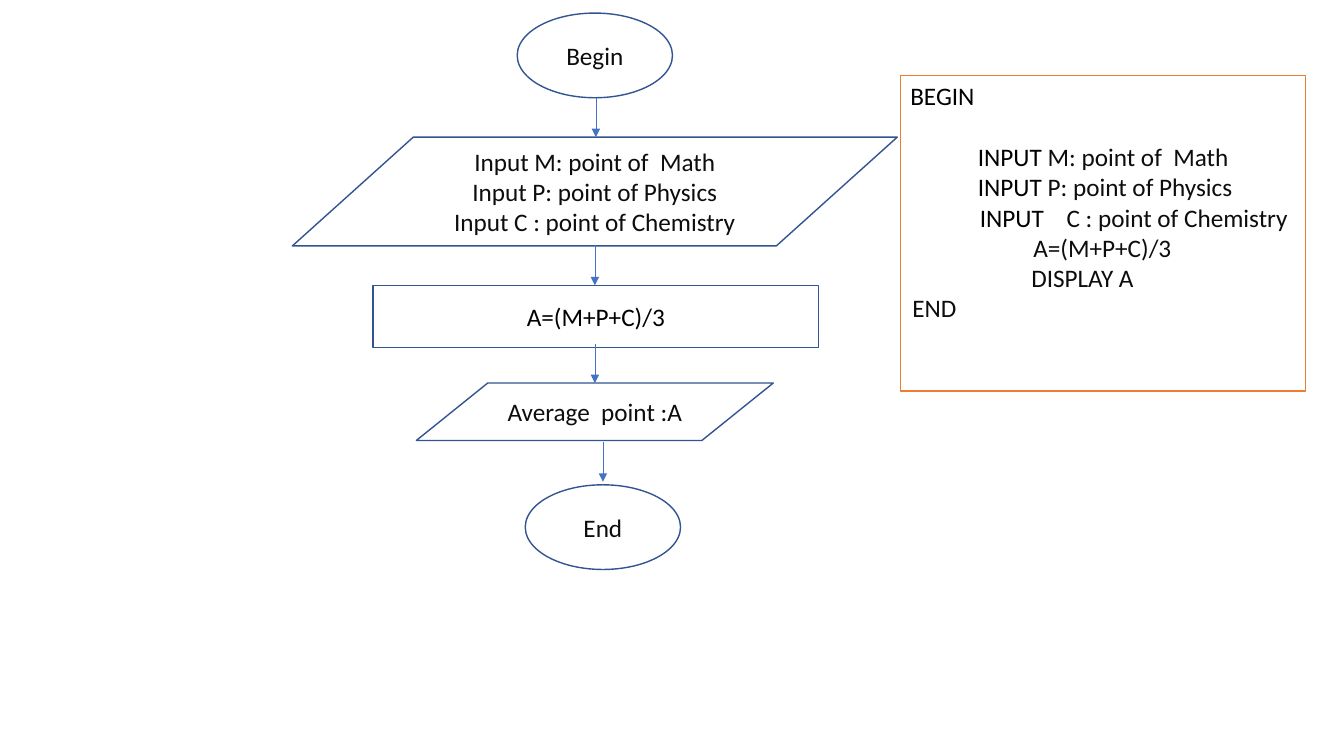
from dataclasses import dataclass

from lxml.etree import SubElement
from pptx import Presentation
from pptx.dml.color import RGBColor
from pptx.enum.shapes import MSO_CONNECTOR, MSO_SHAPE
from pptx.enum.text import MSO_ANCHOR, PP_ALIGN
from pptx.oxml.ns import qn
from pptx.shapes.autoshape import Shape
from pptx.slide import Slide
from pptx.util import Emu, Pt

PX = 9144  # 100 px to the inch
COLORS = {
    "outline": "325491",
    "arrow": "4472C4",
    "frame": "ED7D31",
    "paper": "FFFFFF",
    "black": "000000",
    "ink": "0D0D0D",
}


@dataclass(frozen=True)
class Step:
    kind: MSO_SHAPE
    left: int
    top: int
    width: int
    height: int
    lines: tuple[str, ...]
    ink: str = "ink"


@dataclass(frozen=True)
class Arrow:
    x: int
    top: int
    bottom: int


@dataclass(frozen=True)
class CodeLine:
    runs: tuple[tuple[str, str], ...]  # text and colour name
    indent: int = 0
    hanging: int = 0  # where the text after a tab starts
    space_before: int = 0


STEPS = (
    Step(MSO_SHAPE.OVAL, 513, 13, 154, 84, ("Begin",)),
    Step(MSO_SHAPE.FLOWCHART_DATA, 290, 136, 600, 108,
         ("Input M: point of  Math", "Input P: point of Physics", "Input C : point of Chemistry")),
    Step(MSO_SHAPE.FLOWCHART_PROCESS, 370, 283, 442, 62, ("A=(M+P+C)/3",), "black"),
    Step(MSO_SHAPE.FLOWCHART_DATA, 413, 380, 354, 57, ("Average  point :A",)),
    Step(MSO_SHAPE.OVAL, 521, 481, 154, 84, ("End",)),
)
ARROWS = (Arrow(591, 97, 136), Arrow(590, 243, 283), Arrow(590, 341, 380), Arrow(598, 439, 478))
CODE_LINES = (
    CodeLine((("BEGIN", "black"),)),
    CodeLine((("INPUT ", "black"), ("M: point of  Math", "ink")), 67, space_before=22),
    CodeLine((("INPUT", "black"), (" P: point of Physics", "ink")), 67),
    CodeLine((("INPUT", "black"), ("\tC : point of Chemistry", "ink")), 69, hanging=155),
    CodeLine((("A=(M+P+C)/3", "ink"),), 122),
    CodeLine((("DISPLAY A", "ink"),), 120),
    CodeLine((("END", "ink"),), 2),
)


def px(length: int) -> Emu:
    return Emu(length * PX)


def color(name: str) -> RGBColor:
    return RGBColor.from_string(COLORS[name])


def add_box(page: Slide, kind: MSO_SHAPE, left: int, top: int, width: int, height: int,
            outline: str) -> Shape:
    box = page.shapes.add_shape(kind, px(left), px(top), px(width), px(height))
    box.shadow.inherit = False
    box.fill.background()
    box.line.color.rgb = color(outline)
    box.line.width = Pt(1)
    box.text_frame.word_wrap = True
    return box


def add_para(box: Shape, index: int, runs: tuple[tuple[str, str], ...], align: PP_ALIGN):
    frame = box.text_frame
    para = frame.add_paragraph() if index else frame.paragraphs[0]
    para.alignment = align
    for text, ink in runs:
        span = para.add_run()
        span.text = text
        span.font.name = "Calibri"
        span.font.size = Pt(18)
        span.font.color.rgb = color(ink)
    return para


def add_step(page: Slide, step: Step) -> None:
    box = add_box(page, step.kind, step.left, step.top, step.width, step.height, "outline")
    box.text_frame.vertical_anchor = MSO_ANCHOR.MIDDLE
    for index, text in enumerate(step.lines):
        add_para(box, index, ((text, step.ink),), PP_ALIGN.CENTER)


def add_arrow(page: Slide, arrow: Arrow) -> None:
    link = page.shapes.add_connector(
        MSO_CONNECTOR.STRAIGHT, px(arrow.x), px(arrow.top), px(arrow.x), px(arrow.bottom))
    link.line.color.rgb = color("arrow")
    link.line.width = Pt(0.5)
    SubElement(link.line._get_or_add_ln(), qn("a:tailEnd"), type="triangle")
    SubElement(link._element.spPr, qn("a:effectLst"))


def add_pseudocode(page: Slide, lines: tuple[CodeLine, ...]) -> None:
    box = add_box(page, MSO_SHAPE.RECTANGLE, 893, 75, 402, 313, "frame")
    box.fill.solid()
    box.fill.fore_color.rgb = color("paper")
    box.text_frame.vertical_anchor = MSO_ANCHOR.TOP
    for index, line in enumerate(lines):
        para = add_para(box, index, line.runs, PP_ALIGN.LEFT)
        margin = line.hanging or line.indent
        properties = para._p.get_or_add_pPr()
        properties.set("marL", str(px(margin)))
        properties.set("indent", str(px(line.indent - margin)))
        if line.space_before:
            para.space_before = Pt(line.space_before)


def main() -> None:
    deck = Presentation()
    deck.slide_width, deck.slide_height = px(1333), px(750)
    page = deck.slides.add_slide(deck.slide_layouts[6])

    # Flowchart
    for step in STEPS:
        add_step(page, step)
    for arrow in ARROWS:
        add_arrow(page, arrow)

    # Pseudocode beside the flowchart
    add_pseudocode(page, CODE_LINES)

    deck.save("out.pptx")


if __name__ == "__main__":
    main()
